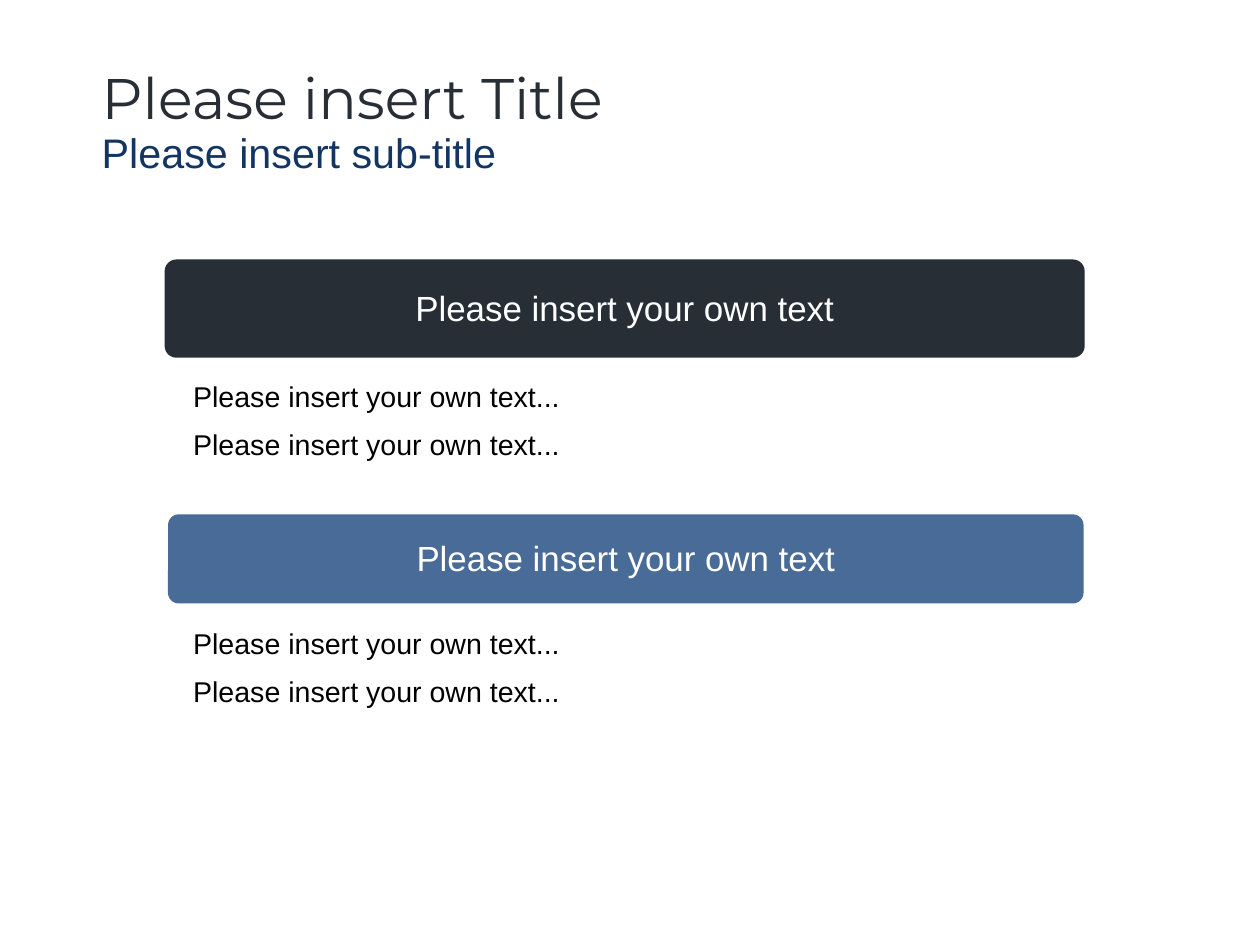
from dataclasses import dataclass

from pptx import Presentation
from pptx.dml.color import RGBColor
from pptx.enum.shapes import MSO_SHAPE
from pptx.enum.text import MSO_ANCHOR, MSO_AUTO_SIZE, PP_ALIGN
from pptx.util import Inches, Pt

ROUNDED = MSO_SHAPE.ROUNDED_RECTANGLE
TOP, MIDDLE = MSO_ANCHOR.TOP, MSO_ANCHOR.MIDDLE
GROW = MSO_AUTO_SIZE.SHAPE_TO_FIT_TEXT
LEFT, CENTER = PP_ALIGN.LEFT, PP_ALIGN.CENTER
TITLE_ONLY = 5
CM_PER_INCH = 2.54


@dataclass(frozen=True)
class Theme:
    title_font: str = "Montserrat"
    body_font: str = "Arial"
    dark: str = "272E36"
    blue: str = "496B98"
    navy: str = "133563"
    white: str = "FFFFFF"
    black: str = "000000"
    title_size: int = 36
    subtitle_size: int = 26
    banner_size: int = 22
    body_size: int = 18
    tight: float = 0.93
    loose: float = 1.4
    title_spacing: float = 1.18


class SlideBuilder:
    def __init__(self, slide, theme):
        self.slide = slide
        self.theme = theme

    def style(self, p, size, color, spacing, font=None, align=LEFT):
        p.alignment = align
        p.line_spacing = spacing
        p.font.name = font or self.theme.body_font
        p.font.size = Pt(size)
        p.font.color.rgb = RGBColor.from_string(color)

    def frame(self, tf, anchor=TOP, left=0.1, top=0.05):
        tf.word_wrap = True
        tf.vertical_anchor = anchor
        tf.margin_left, tf.margin_right = Inches(left), Inches(0.1)
        tf.margin_top, tf.margin_bottom = Inches(top), Inches(0.05)

    def title(self, title, subtitle, x, y, w, h):
        t = self.theme
        sp = self.slide.shapes.title
        sp.left, sp.top, sp.width, sp.height = map(Inches, (x, y, w, h))
        tf = sp.text_frame
        tf.text = f"{title}\n{subtitle}"
        self.frame(tf)
        tf.auto_size = GROW
        self.style(tf.paragraphs[0], t.title_size, t.dark, t.title_spacing, t.title_font)
        self.style(tf.paragraphs[1], t.subtitle_size, t.navy, t.tight)

    def banner(self, text, x, y, w, h, fill):
        t = self.theme
        sp = self.slide.shapes.add_shape(ROUNDED, *map(Inches, (x, y, w, h)))
        sp.adjustments[0] = 0.12
        sp.shadow.inherit = False
        sp.fill.solid()
        sp.fill.fore_color.rgb = RGBColor.from_string(fill)
        sp.line.fill.background()
        tf = sp.text_frame
        tf.text = text
        self.frame(tf, MIDDLE, top=0.07)
        self.style(tf.paragraphs[0], t.banner_size, t.white, t.tight, align=CENTER)

    def body(self, lines, x, y, w, h):
        t = self.theme
        tf = self.slide.shapes.add_textbox(*map(Inches, (x, y, w, h))).text_frame
        tf.text = "\n".join(lines)
        self.frame(tf, left=0.16)
        tf.auto_size = GROW
        for i, p in enumerate(tf.paragraphs):
            self.style(p, t.body_size, t.black, t.loose if i else t.tight)


def main():
    # Slide of 28 by 21 centimetres
    prs = Presentation()
    prs.slide_width = Inches(28 / CM_PER_INCH)
    prs.slide_height = Inches(21 / CM_PER_INCH)
    theme = Theme()
    slide = prs.slides.add_slide(prs.slide_layouts[TITLE_ONLY])
    s = SlideBuilder(slide, theme)

    # Title and subtitle
    s.title("Please insert Title", "Please insert sub-title", 0.79, 0.39, 9.57, 1.21)

    # Sections: a banner with two lines of text below it
    sections = [
        ((1.44, 2.27, 8.05, 0.86), theme.dark, 3.29),
        ((1.47, 4.5, 8.01, 0.78), theme.blue, 5.45),
    ]
    for box, fill, body_top in sections:
        s.banner("Please insert your own text", *box, fill)
        s.body(["Please insert your own text..."] * 2, 1.53, body_top, 7.94, 0.8)

    prs.save("out.pptx")


if __name__ == "__main__":
    main()
